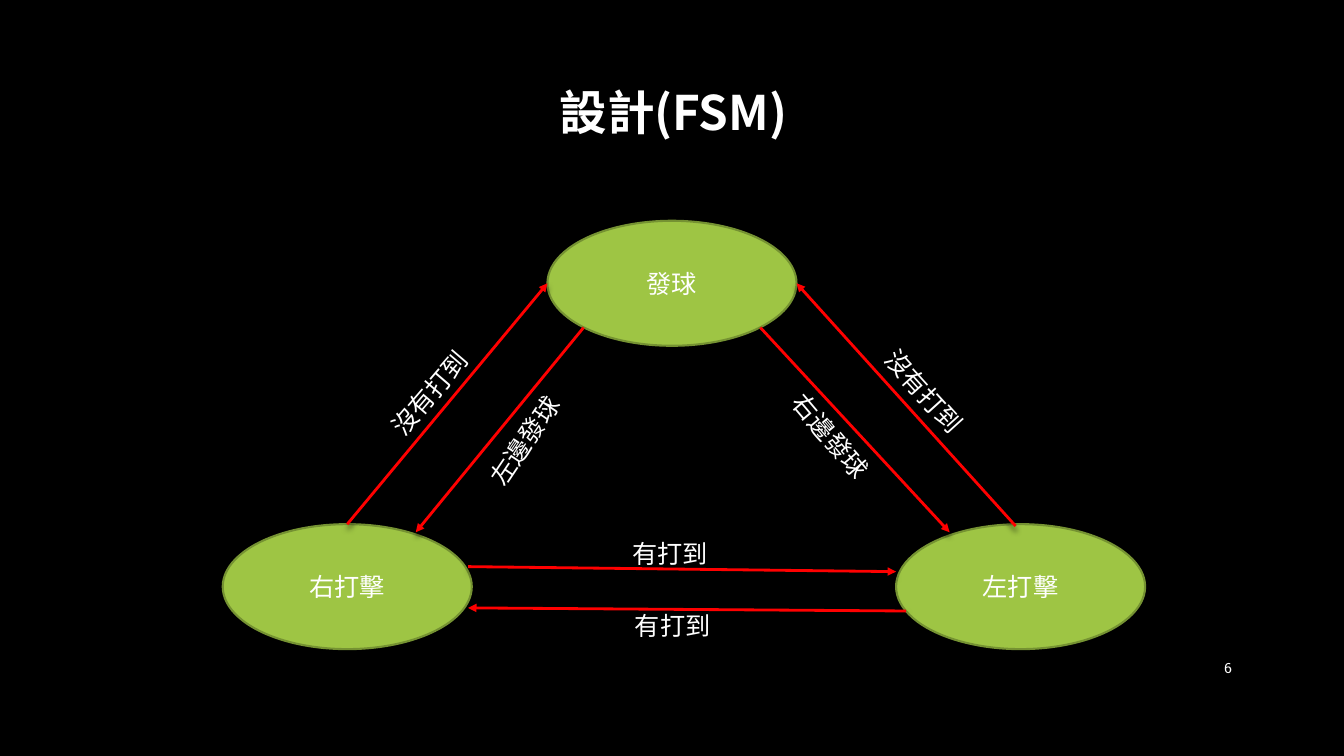
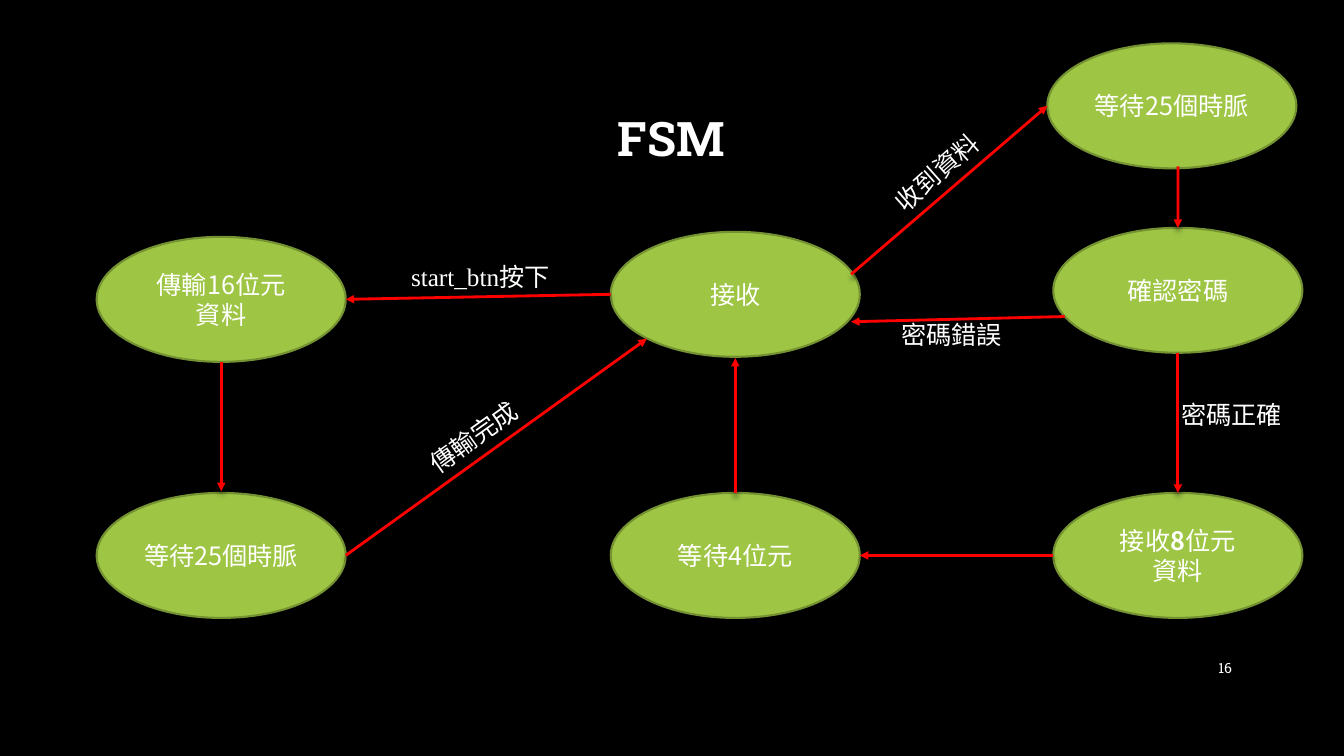
from lxml import etree
from pptx import Presentation
from pptx import util as u
from pptx.dml import color
from pptx.enum import shapes, text
from pptx.oxml import ns

COLORS = {"back": "000000", "ink": "FFFFFF", "state": "9EC544",
          "rim": "759232", "arrow": "FF0000"}
SANS, SLAB, SERIF = "Noto Sans CJK SC", "Roboto Slab", "Times New Roman"
ALIGN = text.PP_ALIGN

# A grid of 100 columns by 100 rows; sizes are (columns, rows)
COL, ROW = u.Inches(13.33) / 100, u.Inches(7.5) / 100
STATE_SIZE = (18.53, 16.53)
TITLE_SIZE = (84.9, 19.33)
NUMBER_SIZE = (6.15, 5.33)
LABEL_ROWS = 5.33
DIAGONAL = 0.71


def rgb(name):
    """Return a named colour."""
    return color.RGBColor.from_string(COLORS[name])


def frame(center, extent):
    """Turn a centre and an extent on the grid into left, top, width, height."""
    (x, y), (wide, high) = center, extent
    return [round(n) for n in ((x - wide / 2) * COL, (y - high / 2) * ROW,
                               wide * COL, high * ROW)]


def write(box, paragraphs, font=SANS, size=18, bold=False,
          align=ALIGN.CENTER, spacing=None):
    """Fill a box; a paragraph is a string or a list of (text, font, bold)."""
    body = box.text_frame
    for i, content in enumerate(paragraphs):
        para = body.paragraphs[0] if i == 0 else body.add_paragraph()
        para.alignment = align
        para.line_spacing = spacing
        spans = [(content, font, bold)] if isinstance(content, str) else content
        for words, face, heavy in spans:
            span = para.add_run()
            span.text = words
            span.font.name = face
            span.font.size = u.Pt(size)
            span.font.bold = heavy
            span.font.color.rgb = rgb("ink")
            east = etree.SubElement(span.font._element, ns.qn("a:ea"))
            east.set("typeface", SLAB if face == SLAB else SANS)


def add_text(page, center, extent, paragraphs, wrap=True,
             anchor=text.MSO_ANCHOR.MIDDLE, **style):
    """Add a text box around a centre."""
    box = page.shapes.add_textbox(*frame(center, extent))
    box.text_frame.word_wrap = wrap
    box.text_frame.vertical_anchor = anchor
    write(box, paragraphs, **style)
    return box


def add_label(page, center, columns, content, turn=0, wrap=False,
              align=ALIGN.LEFT):
    """Name a transition, turned along its arrow."""
    box = add_text(page, center, (columns, LABEL_ROWS), [content], wrap,
                   text.MSO_ANCHOR.TOP, align=align)
    box.text_frame.auto_size = text.MSO_AUTO_SIZE.SHAPE_TO_FIT_TEXT
    box.rotation = turn


def add_state(page, center, paragraphs):
    """Draw one state as an ellipse."""
    box = page.shapes.add_shape(shapes.MSO_SHAPE.OVAL,
                                *frame(center, STATE_SIZE))
    box.shadow.inherit = False
    box.fill.solid()
    box.fill.fore_color.rgb = rgb("state")
    box.line.color.rgb = rgb("rim")
    box.line.width = u.Pt(1.5)
    box.text_frame.word_wrap = True
    box.text_frame.vertical_anchor = text.MSO_ANCHOR.MIDDLE
    write(box, paragraphs)


def port(center, dx, dy):
    """Find a point given in half-axes from the centre of a state."""
    return (round((center[0] + dx * STATE_SIZE[0] / 2) * COL),
            round((center[1] + dy * STATE_SIZE[1] / 2) * ROW))


def add_arrow(page, start, end):
    """Draw a transition arrow with a soft shadow below it."""
    line = page.shapes.add_connector(shapes.MSO_CONNECTOR.STRAIGHT,
                                     *start, *end)
    line.line.color.rgb = rgb("arrow")
    line.line.width = u.Pt(2)
    outline = line._element.spPr.find(ns.qn("a:ln"))
    etree.SubElement(outline, ns.qn("a:tailEnd"), type="triangle")
    effects = etree.SubElement(line._element.spPr, ns.qn("a:effectLst"))
    shadow = etree.SubElement(effects, ns.qn("a:outerShdw"),
                              blurRad=str(u.Pt(4)), dist=str(u.Pt(3)),
                              dir="5400000", rotWithShape="0")
    tone = etree.SubElement(shadow, ns.qn("a:srgbClr"), val=COLORS["back"])
    etree.SubElement(tone, ns.qn("a:alpha"), val="54000")


def add_page(deck, title, title_center, title_font, number):
    """Start a dark page with its title and page number."""
    page = deck.slides.add_slide(deck.slide_layouts[6])
    page.background.fill.solid()
    page.background.fill.fore_color.rgb = rgb("back")
    add_text(page, title_center, TITLE_SIZE, [title], font=title_font,
             size=34, bold=True, spacing=0.9)
    add_text(page, (89.33, 88.4), NUMBER_SIZE, [number], font=SLAB,
             size=10, align=ALIGN.RIGHT)
    return page


def add_machine(page, states, arrows, labels):
    """Draw a state machine: states, then arrows, then labels."""
    for center, paragraphs in states.values():
        add_state(page, center, paragraphs)
    for source, leave, target, enter in arrows:
        add_arrow(page, port(states[source][0], *leave),
                  port(states[target][0], *enter))
    for label in labels:
        add_label(page, *label)


def game_page(deck):
    """Build the state machine of the ball game."""
    page = add_page(deck, "設計(FSM)", (50.1, 15.27), SANS, "6")
    states = {
        "serve": ((50, 37.47), ["發球"]),
        "left": ((75.94, 77.6), ["左打擊"]),
        "right": ((25.84, 77.6), ["右打擊"]),
    }
    arrows = [
        ("serve", (-DIAGONAL, DIAGONAL), "right", (0.55, -0.87)),
        ("serve", (DIAGONAL, DIAGONAL), "left", (-0.57, -0.87)),
        ("right", (0.97, -0.32), "left", (-1, -0.24)),
        ("left", (-0.92, 0.39), "right", (0.97, 0.34)),
        ("right", (0, -1), "serve", (-1, 0)),
        ("left", (-0.04, -0.97), "serve", (1, 0)),
    ]
    labels = [
        ((39.04, 58.27), 9.08, "左邊發球", 303.8, False, ALIGN.CENTER),
        ((61.84, 57.73), 9.08, "右邊發球", 49.8),
        ((49.88, 73.2), 7.2, "有打到", 0, False, ALIGN.CENTER),
        ((50.1, 82.8), 7.2, "有打到"),
        ((31.99, 51.87), 9.08, "沒有打到", 310.6),
        ((68.81, 51.87), 9.08, "沒有打到", 47.8),
    ]
    add_machine(page, states, arrows, labels)


def transfer_page(deck):
    """Build the state machine of the data transfer."""
    page = add_page(deck, "FSM", (49.95, 18.6), SLAB, "16")
    left, middle, right, bottom = 16.46, 54.71, 87.64, 73.47
    eight_bits = [("接收", SANS, False), ("8", SANS, True),
                  ("位元", SANS, False)]
    states = {
        "receive": ((middle, 38.93), ["接收"]),
        "check": ((right, 38.4), ["確認密碼"]),
        "data": ((right, bottom), [eight_bits, "資料"]),
        "wait bits": ((middle, bottom), ["等待4位元"]),
        "send": ((left, 39.6), ["傳輸16位元", "資料"]),
        "wait sent": ((left, bottom), ["等待25個時脈"]),
        "wait got": ((87.19, 14), ["等待25個時脈"]),
    }
    arrows = [
        ("receive", (-1, 0), "send", (1, 0)),
        ("receive", (0.93, -0.32), "wait got", (-1, 0)),
        ("check", (0, 1), "data", (0, -1)),
        ("check", (-0.91, 0.42), "receive", (0.93, 0.44)),
        ("data", (-1, 0), "wait bits", (1, 0)),
        ("wait bits", (0, -1), "receive", (0, 1.02)),
        ("send", (0, 1), "wait sent", (0, -1.03)),
        ("wait sent", (1, 0), "receive", (-DIAGONAL, DIAGONAL)),
        ("wait got", (0.05, 0.97), "check", (0, -1)),
    ]
    pressed = [("start_btn", SERIF, False), ("按下", SLAB, False)]
    labels = [
        ((70.2, 22), 10.35, "收到資料", 318.3, True),
        ((92.03, 54.8), 9.75, "密碼正確", 0, True),
        ((71.48, 44.27), 10.35, "密碼錯誤", 0, True),
        ((35.81, 36.53), 11.93, pressed, 0, True),
        ((35.78, 57.07), 10.35, "傳輸完成", 324.5, True),
    ]
    add_machine(page, states, arrows, labels)


def main():
    """Build and save the deck."""
    deck = Presentation()
    deck.slide_width, deck.slide_height = u.Inches(13.33), u.Inches(7.5)
    game_page(deck)
    transfer_page(deck)
    deck.save("out.pptx")


main()
